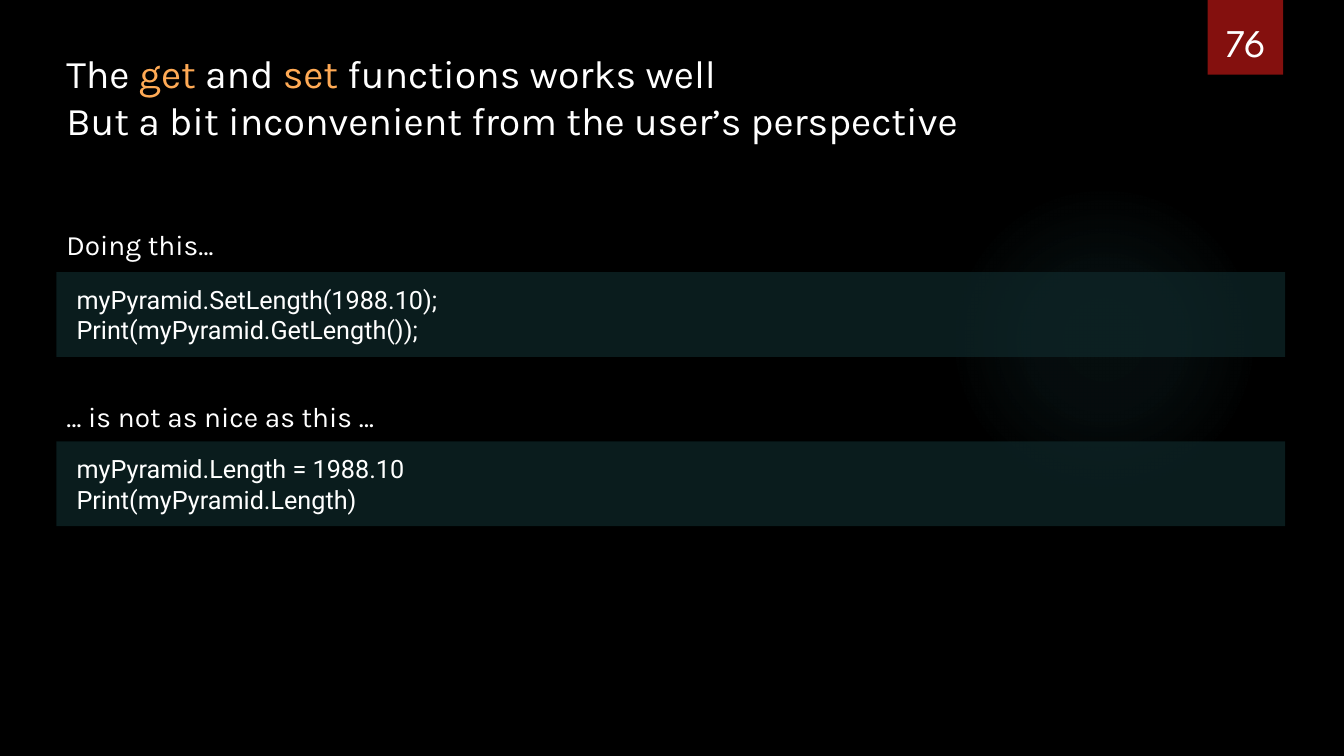
from dataclasses import dataclass

from pptx import Presentation
from pptx.dml.color import RGBColor
from pptx.enum.shapes import MSO_SHAPE
from pptx.enum.text import MSO_ANCHOR, MSO_AUTO_SIZE, PP_ALIGN
from pptx.oxml import parse_xml
from pptx.oxml.ns import nsdecls, qn
from pptx.oxml.xmlchemy import OxmlElement
from pptx.shapes.autoshape import Shape
from pptx.slide import Slide
from pptx.util import Pt

WHITE = "FFFFFF"
ORANGE = "FFAA55"
BLACK = "000000"
RED = "84100E"
PANEL = "0F282A"
GLOW = "50B9C1"

LEFT = 40.32
TEXT_WIDTH = 816.48
PANEL_WIDTH = 877.68
PANEL_HEIGHT = 60.48


@dataclass(frozen=True)
class Box:
    left: float
    top: float
    width: float
    height: float


@dataclass(frozen=True)
class TextRun:
    text: str
    color: str = WHITE


@dataclass(frozen=True)
class TextStyle:
    font: str
    size: float
    align: PP_ALIGN = PP_ALIGN.LEFT
    anchor: MSO_ANCHOR = MSO_ANCHOR.TOP
    auto_size: MSO_AUTO_SIZE = MSO_AUTO_SIZE.SHAPE_TO_FIT_TEXT
    inset_x: float = 7.2
    inset_y: float = 3.6


@dataclass(frozen=True)
class CodeExample:
    label: str
    label_top: float
    code_top: float
    lines: tuple[str, ...]


TITLE_STYLE = TextStyle("Karla", 28)
LABEL_STYLE = TextStyle("Karla", 20)
CODE_STYLE = TextStyle("Roboto", 18, inset_x=14.4, inset_y=8.64)
NUMBER_STYLE = TextStyle("League Spartan", 28, PP_ALIGN.CENTER,
                         MSO_ANCHOR.BOTTOM, MSO_AUTO_SIZE.NONE)

TITLE = [
    [TextRun("The "), TextRun("get", ORANGE), TextRun(" and "),
     TextRun("set", ORANGE), TextRun(" functions works well")],
    [TextRun("But a bit inconvenient from the user’s perspective")],
]

EXAMPLES = [
    CodeExample("Doing this…", 159.12, 194.4,
                ("myPyramid.SetLength(1988.10);", "Print(myPyramid.GetLength());")),
    CodeExample("… is not as nice as this …", 281.52, 315.36,
                ("myPyramid.Length = 1988.10", "Print(myPyramid.Length)")),
]


def rgb(value: str) -> RGBColor:
    return RGBColor.from_string(value)


def lengths(box: Box) -> tuple[Pt, Pt, Pt, Pt]:
    return Pt(box.left), Pt(box.top), Pt(box.width), Pt(box.height)


def add_filled(slide: Slide, kind: MSO_SHAPE, box: Box, color: str,
               opacity: int = 100) -> Shape:
    shape = slide.shapes.add_shape(kind, *lengths(box))
    shape.shadow.inherit = False
    shape.line.fill.background()
    shape.fill.solid()
    shape.fill.fore_color.rgb = rgb(color)
    if opacity < 100:
        alpha = OxmlElement("a:alpha")
        alpha.set("val", str(opacity * 1000))
        shape._element.spPr.find(qn("a:solidFill"))[0].append(alpha)
    return shape


def add_glow(slide: Slide, box: Box) -> None:
    shape = add_filled(slide, MSO_SHAPE.OVAL, box, GLOW)
    stops = "".join(
        f'<a:gs pos="{position * 1000}"><a:srgbClr val="{GLOW}">'
        f'<a:alpha val="{opacity * 1000}"/></a:srgbClr></a:gs>'
        for position, opacity in ((0, 7), (36, 6), (69, 0))
    )
    gradient = parse_xml(
        f'<a:gradFill {nsdecls("a")}><a:gsLst>{stops}</a:gsLst><a:path path="circle">'
        '<a:fillToRect l="50000" t="50000" r="50000" b="50000"/></a:path></a:gradFill>'
    )
    properties = shape._element.spPr
    properties.replace(properties.find(qn("a:solidFill")), gradient)


def write_text(shape: Shape, lines: list[list[TextRun]], style: TextStyle) -> None:
    frame = shape.text_frame
    frame.word_wrap = True
    frame.auto_size = style.auto_size
    frame.vertical_anchor = style.anchor
    frame.margin_left = frame.margin_right = Pt(style.inset_x)
    frame.margin_top = frame.margin_bottom = Pt(style.inset_y)
    for index, line in enumerate(lines):
        paragraph = frame.add_paragraph() if index else frame.paragraphs[0]
        paragraph.alignment = style.align
        for item in line:
            run = paragraph.add_run()
            run.text = item.text
            run.font.name = style.font
            run.font.size = Pt(style.size)
            run.font.color.rgb = rgb(item.color)


def add_text(slide: Slide, box: Box, lines: list[list[TextRun]],
             style: TextStyle) -> None:
    write_text(slide.shapes.add_textbox(*lengths(box)), lines, style)


def add_example(slide: Slide, example: CodeExample) -> None:
    panel = add_filled(slide, MSO_SHAPE.RECTANGLE,
                       Box(LEFT, example.code_top, PANEL_WIDTH, PANEL_HEIGHT), PANEL, 70)
    write_text(panel, [[TextRun(line)] for line in example.lines], CODE_STYLE)
    add_text(slide, Box(LEFT, example.label_top, TEXT_WIDTH, 31.68),
             [[TextRun(example.label)]], LABEL_STYLE)


def main() -> None:
    presentation = Presentation()
    presentation.slide_width = Pt(960)
    presentation.slide_height = Pt(540)
    slide = presentation.slides.add_slide(presentation.slide_layouts[6])

    # Background with a faint glow
    slide.background.fill.solid()
    slide.background.fill.fore_color.rgb = rgb(BLACK)
    add_glow(slide, Box(677.52, 131.76, 221.76, 221.76))

    # Page number tab
    add_filled(slide, MSO_SHAPE.RECTANGLE, Box(862.56, 0, 54, 53.28), RED)
    add_text(slide, Box(856.8, -10.08, 66.24, 60.48), [[TextRun("76")]], NUMBER_STYLE)

    # Title
    add_text(slide, Box(LEFT, 31.68, TEXT_WIDTH, 74.88), TITLE, TITLE_STYLE)

    # Labelled code panels
    for example in EXAMPLES:
        add_example(slide, example)

    presentation.save("out.pptx")


if __name__ == "__main__":
    main()
